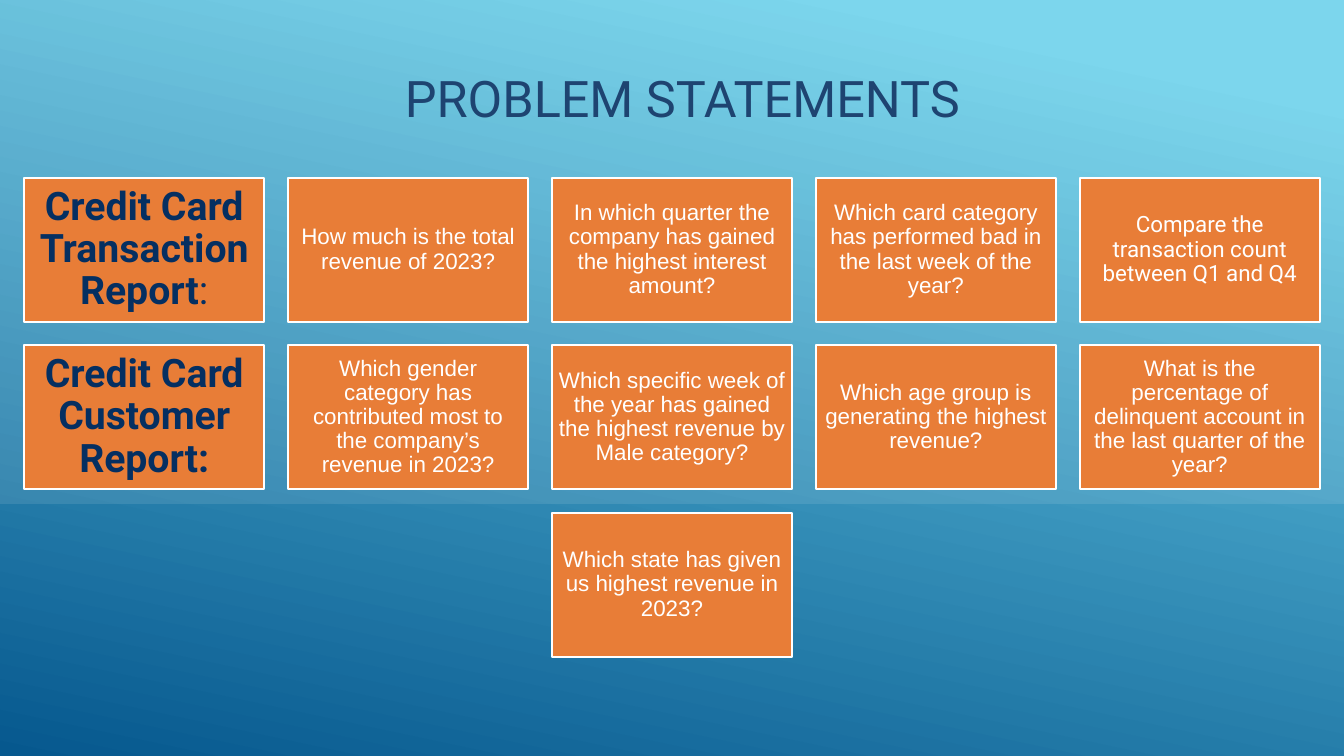
from lxml.etree import SubElement
from pptx import Presentation
from pptx.dml.color import RGBColor
from pptx.enum.shapes import MSO_SHAPE
from pptx.enum.text import MSO_ANCHOR, MSO_AUTO_SIZE, PP_ALIGN
from pptx.oxml.ns import qn
from pptx.util import Cm, Pt

COLORS = {
    "sky": "6ED2EB",
    "deep": "06588E",
    "navy": "052F61",
    "orange": "E87D37",
    "white": "FFFFFF",
}
SLIDE_WIDTH, SLIDE_HEIGHT = Cm(33.87), Cm(19.05)

# Card grid: every row is centred on the slide
CARD_WIDTH, CARD_HEIGHT = Cm(6.05), Cm(3.63)
COLUMN_STEP, ROW_STEP = Cm(6.65), Cm(4.22)
GRID_TOP = Cm(4.48)

# Each card is a list of runs: (text, style)
STYLES = {
    "heading": ("Roboto", 28, "navy", True),
    "colon": ("Roboto", 28, "navy", False),
    "question": ("Arial", 16, "white", False),
    "comparison": ("Roboto", 16, "white", False),
    "title": ("Roboto", 36, "navy", False),
}
CARD_ROWS = [
    [
        [("Credit Card Transaction Report", "heading"), (":", "colon")],
        [("How much is the total revenue of 2023?", "question")],
        [("In which quarter the company has gained the highest interest amount?", "question")],
        [("Which card category has performed bad in the last week of the year?", "question")],
        [("Compare the transaction count between Q1 and Q4", "comparison")],
    ],
    [
        [("Credit Card Customer Report:", "heading")],
        [("Which gender category has contributed most to the company’s revenue in 2023?", "question")],
        [("Which specific week of the year has gained the highest revenue by Male category?", "question")],
        [("Which age group is generating the highest revenue?", "question")],
        [("What is the percentage of delinquent account in the last quarter of the year?", "question")],
    ],
    [
        [("Which state has given us highest revenue in 2023?", "question")],
    ],
]


def color(name):
    return RGBColor.from_string(COLORS[name])


def add_span(para, text, style):
    font_name, size, color_name, bold = STYLES[style]
    span = para.add_run()
    span.text = text
    span.font.name = font_name
    span.font.size = Pt(size)
    span.font.bold = bold
    span.font.color.rgb = color(color_name)


def add_gradient(page):
    box = page.shapes.add_shape(MSO_SHAPE.RECTANGLE, 0, 0, SLIDE_WIDTH, SLIDE_HEIGHT)
    box.shadow.inherit = False
    box.line.fill.background()
    box.fill.gradient()
    box.fill.gradient_angle = 258
    for stop, position, name in zip(box.fill.gradient_stops, (0.1, 1), ("sky", "deep")):
        stop.position = position
        stop.color.rgb = color(name)
    return box


def add_veil(page):
    box = page.shapes.add_shape(
        MSO_SHAPE.SNIP_2_DIAG_RECTANGLE, 0, 0, SLIDE_WIDTH, Cm(12.7))
    box.adjustments[0] = box.adjustments[1] = 0
    box.shadow.inherit = False
    box.line.fill.background()
    box.fill.solid()
    box.fill.fore_color.rgb = color("white")
    # 10 % opacity
    tint = next(box.element.iter(qn("a:srgbClr")))
    SubElement(tint, qn("a:alpha")).set("val", "10000")


def format_title(title):
    title.left, title.top = Cm(4.32), Cm(0.86)
    title.width, title.height = Cm(25.76), Cm(3.2)
    frame = title.text_frame
    frame.auto_size = MSO_AUTO_SIZE.NONE
    frame.vertical_anchor = MSO_ANCHOR.MIDDLE
    para = frame.paragraphs[0]
    para.alignment = PP_ALIGN.CENTER
    add_span(para, "PROBLEM STATEMENTS", "title")


def add_card(page, left, top, runs):
    box = page.shapes.add_shape(MSO_SHAPE.RECTANGLE, left, top, CARD_WIDTH, CARD_HEIGHT)
    box.shadow.inherit = False
    box.fill.solid()
    box.fill.fore_color.rgb = color("orange")
    box.line.color.rgb = color("white")
    box.line.width = Pt(1.25)

    frame = box.text_frame
    frame.word_wrap = True
    frame.vertical_anchor = MSO_ANCHOR.MIDDLE
    inset = Cm(0.3) if runs[0][1] == "heading" else Cm(0.17)
    frame.margin_left = frame.margin_right = inset
    frame.margin_top = frame.margin_bottom = inset
    para = frame.paragraphs[0]
    para.alignment = PP_ALIGN.CENTER
    para.line_spacing = 0.9
    for text, style in runs:
        add_span(para, text, style)


def add_card_row(page, top, cards):
    row_width = COLUMN_STEP * (len(cards) - 1) + CARD_WIDTH
    left = (SLIDE_WIDTH - row_width) // 2
    for column, runs in enumerate(cards):
        add_card(page, left + column * COLUMN_STEP, top, runs)


def main():
    deck = Presentation()
    deck.slide_width, deck.slide_height = SLIDE_WIDTH, SLIDE_HEIGHT
    page = deck.slides.add_slide(deck.slide_layouts[5])

    # Backdrop, with the title between gradient and veil
    title = page.shapes.title
    format_title(title)
    gradient = add_gradient(page)
    gradient.element.addnext(title.element)
    add_veil(page)

    # Problem cards
    for row, cards in enumerate(CARD_ROWS):
        add_card_row(page, GRID_TOP + row * ROW_STEP, cards)

    deck.save("out.pptx")


if __name__ == "__main__":
    main()
